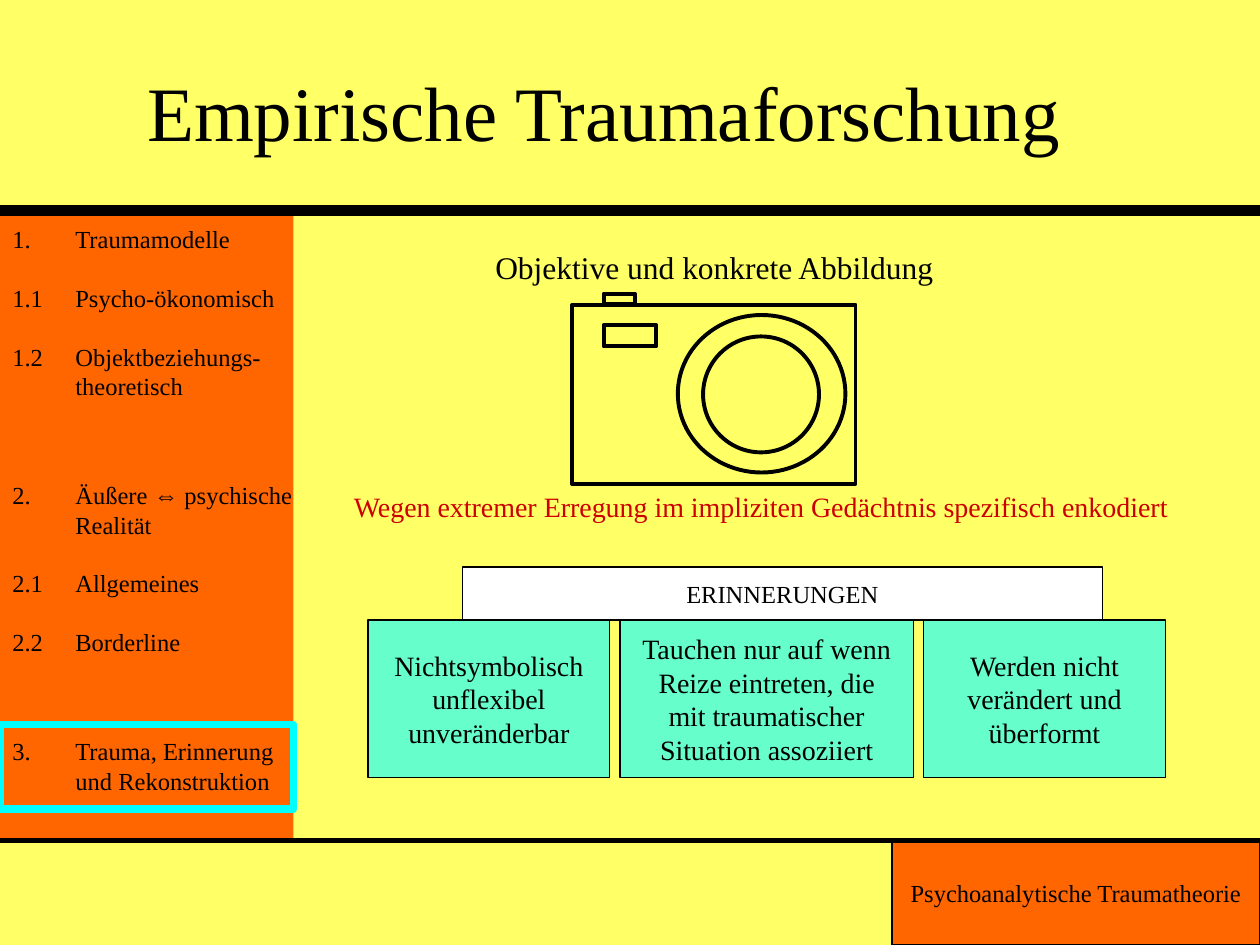
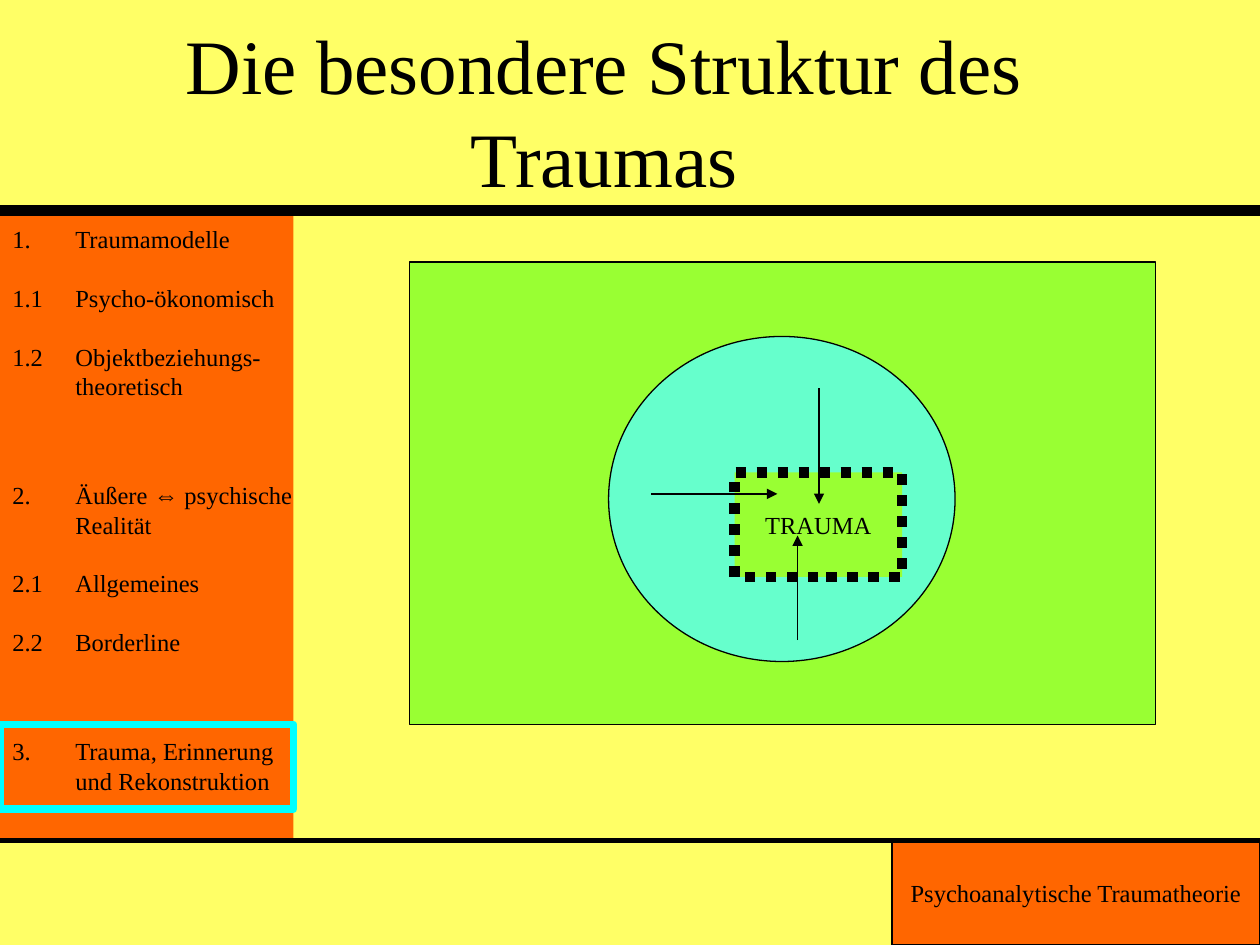
from lxml import etree
from pptx import Presentation
from pptx.dml.color import RGBColor
from pptx.enum.dml import MSO_LINE
from pptx.enum.shapes import MSO_CONNECTOR, MSO_SHAPE
from pptx.enum.text import MSO_ANCHOR, PP_ALIGN
from pptx.oxml.ns import qn
from pptx.util import Inches, Pt

YELLOW, ORANGE, BLACK, WHITE = "FFFF66", "FF6600", "000000", "FFFFFF"
MINT, LIME, CYAN, RED = "66FFCC", "99FF33", "00FFFF", "CC0000"
SERIF, SYMBOL_FONT = "Times New Roman", "Arial"
SIDEBAR_WIDTH, HEADER_BOTTOM, FOOTER_TOP = 2.33, 1.67, 6.67
ENTRY_GAP, CHAPTER_GAP = 16.8, 45.4
OUTLINE = [
    ("1.\tTraumamodelle", 0),
    ("1.1\tPsycho-ökonomisch", ENTRY_GAP),
    ("1.2\tObjektbeziehungs-\ntheoretisch", ENTRY_GAP),
    ("2.\tÄußere ⇔ psychische\nRealität", CHAPTER_GAP),
    ("2.1\tAllgemeines", ENTRY_GAP),
    ("2.2\tBorderline", ENTRY_GAP),
    ("3.\tTrauma, Erinnerung\nund Rekonstruktion", CHAPTER_GAP),
]
MEMORY_TRAITS = [
    ("Nichtsymbolisch\nunflexibel\nunveränderbar", 1.92),
    ("Tauchen nur auf wenn\nReize eintreten, die\nmit traumatischer\nSituation assoziiert", 2.33),
    ("Werden nicht\nverändert und\nüberformt", 1.92),
]


def rgb(value):
    """Return the colour for a hex string."""
    return RGBColor.from_string(value)


def style_font(font, size, color=BLACK, name=SERIF):
    """Set size, colour and typeface of a font."""
    font.size, font.name = Pt(size), name
    font.color.rgb = rgb(color)


def write_centred(frame, text, size, color=BLACK, wrap=False):
    """Fill a text frame with centred paragraphs."""
    frame.text = text
    frame.word_wrap = wrap
    frame.vertical_anchor = MSO_ANCHOR.MIDDLE
    for paragraph in frame.paragraphs:
        paragraph.alignment = PP_ALIGN.CENTER
        for run in paragraph.runs:
            style_font(run.font, size, color)


def add_figure(shapes, bounds, fill=None, line=BLACK, weight=0.75,
               kind=MSO_SHAPE.RECTANGLE, text="", size=14):
    """Add a preset shape with optional fill, outline and centred text."""
    figure = shapes.add_shape(kind, *map(Inches, bounds))
    figure.shadow.inherit = False
    if fill:
        figure.fill.solid()
        figure.fill.fore_color.rgb = rgb(fill)
    else:
        figure.fill.background()
    if line:
        figure.line.color.rgb = rgb(line)
        figure.line.width = Pt(weight)
    else:
        figure.line.fill.background()
    if text:
        write_centred(figure.text_frame, text, size)
    return figure


def add_line(slide, start, end, weight=0.75, arrow=False):
    """Add a straight black line, with an arrowhead at its end if asked."""
    connector = slide.shapes.add_connector(
        MSO_CONNECTOR.STRAIGHT, *map(Inches, (*start, *end)))
    connector.line.color.rgb = rgb(BLACK)
    connector.line.width = Pt(weight)
    properties = connector._element.spPr
    if arrow:
        etree.SubElement(properties.find(qn("a:ln")), qn("a:tailEnd"), type="triangle")
    etree.SubElement(properties, qn("a:effectLst"))


def add_label(slide, bounds, text, size, color=BLACK, wrap=False):
    """Add a centred text box."""
    label = slide.shapes.add_textbox(*map(Inches, bounds))
    write_centred(label.text_frame, text, size, color, wrap)


def write_entry(paragraph, entry, gap):
    """Write one numbered outline entry with a hanging indent."""
    properties = paragraph._p.get_or_add_pPr()
    properties.set("marL", str(Inches(0.5)))
    properties.set("indent", str(Inches(-0.5)))
    paragraph.alignment = PP_ALIGN.LEFT
    if gap:
        paragraph.space_before = Pt(gap)
    for index, row in enumerate(entry.split("\n")):
        if index:
            paragraph.add_line_break()
        for piece in filter(None, row.partition("⇔")):
            run = paragraph.add_run()
            run.text = piece
            style_font(run.font, 14, name=SYMBOL_FONT if piece == "⇔" else SERIF)


def add_sidebar(slide):
    """Add the outline of the talk on its orange band."""
    band = add_figure(slide.shapes, (0, HEADER_BOTTOM, SIDEBAR_WIDTH, 5), ORANGE, None)
    frame = band.text_frame
    frame.word_wrap = False
    frame.vertical_anchor = MSO_ANCHOR.TOP
    frame.margin_top = Inches(0.11)
    for index, (entry, gap) in enumerate(OUTLINE):
        paragraph = frame.add_paragraph() if index else frame.paragraphs[0]
        write_entry(paragraph, entry, gap)


def add_base_slide(prs, title_text):
    """Add a slide with title, outline, footer, rules and chapter marker."""
    slide = prs.slides.add_slide(prs.slide_layouts[5])
    slide.background.fill.solid()
    slide.background.fill.fore_color.rgb = rgb(YELLOW)
    title = slide.shapes.title
    title.left, title.top, title.width, title.height = map(
        Inches, (0.42, 0.25, 8.75, 1.25))
    write_centred(title.text_frame, title_text, 44, wrap=True)
    add_sidebar(slide)
    add_figure(slide.shapes, (7.08, FOOTER_TOP, 2.92, 0.83), ORANGE,
               text="Psychoanalytische Traumatheorie")
    for y, weight in ((FOOTER_TOP, 3), (HEADER_BOTTOM, 6)):
        add_line(slide, (0, y), (10, y), weight)
    add_figure(slide.shapes, (0, 5.75, SIDEBAR_WIDTH, 0.67), line=CYAN, weight=4.5)
    return slide


def add_camera(slide):
    """Draw the camera as a group of outlines."""
    camera = slide.shapes.add_group_shape().shapes
    body, viewfinder, shutter = (
        (4.54, 2.42, 2.25, 1.42), (4.79, 2.58, 0.42, 0.17), (4.79, 2.33, 0.25, 0.08))
    lens, lens_ring = (5.58, 2.67, 0.92, 0.92), (5.38, 2.5, 1.33, 1.25)
    for part in (body, viewfinder, shutter):
        add_figure(camera, part, weight=2.25)
    for part in (lens, lens_ring):
        add_figure(camera, part, weight=2.25, kind=MSO_SHAPE.OVAL)


def add_memory_traits(slide):
    """Add the row of memory traits below their heading."""
    left = 2.92
    for trait, width in MEMORY_TRAITS:
        add_figure(slide.shapes, (left, 4.92, width, 1.25), MINT, text=trait, size=16)
        left += width + 0.08
    add_figure(slide.shapes, (3.67, 4.5, 5.08, 0.42), WHITE, text="ERINNERUNGEN")


def add_trauma_diagram(slide):
    """Draw the enclosed trauma with arrows pressing on it."""
    add_figure(slide.shapes, (3.25, 2.08, 5.92, 3.67), LIME)
    add_figure(slide.shapes, (4.83, 2.67, 2.75, 2.58), MINT, kind=MSO_SHAPE.OVAL)
    trauma = add_figure(slide.shapes, (5.83, 3.75, 1.33, 0.83), LIME, weight=6,
                        text="TRAUMA")
    trauma.line.dash_style = MSO_LINE.ROUND_DOT
    for start, end in (((6.5, 3.08), (6.5, 4)),
                       ((5.17, 3.92), (6.17, 3.92)),
                       ((6.33, 5.08), (6.33, 4.25))):
        add_line(slide, start, end, arrow=True)


def main():
    """Build and save both slides."""
    prs = Presentation()
    prs.slide_width, prs.slide_height = Inches(10), Inches(7.5)

    research = add_base_slide(prs, "Empirische Traumaforschung")
    add_camera(research)
    add_label(research, (2.88, 1.83, 5.58, 0.58), "Objektive und konkrete Abbildung", 18)
    add_label(research, (2.58, 3.83, 6.92, 0.37),
              "Wegen extremer Erregung im impliziten Gedächtnis spezifisch enkodiert",
              16, RED, wrap=True)
    add_memory_traits(research)

    structure = add_base_slide(prs, "Die besondere Struktur des Traumas")
    add_trauma_diagram(structure)

    prs.save("out.pptx")


if __name__ == "__main__":
    main()
